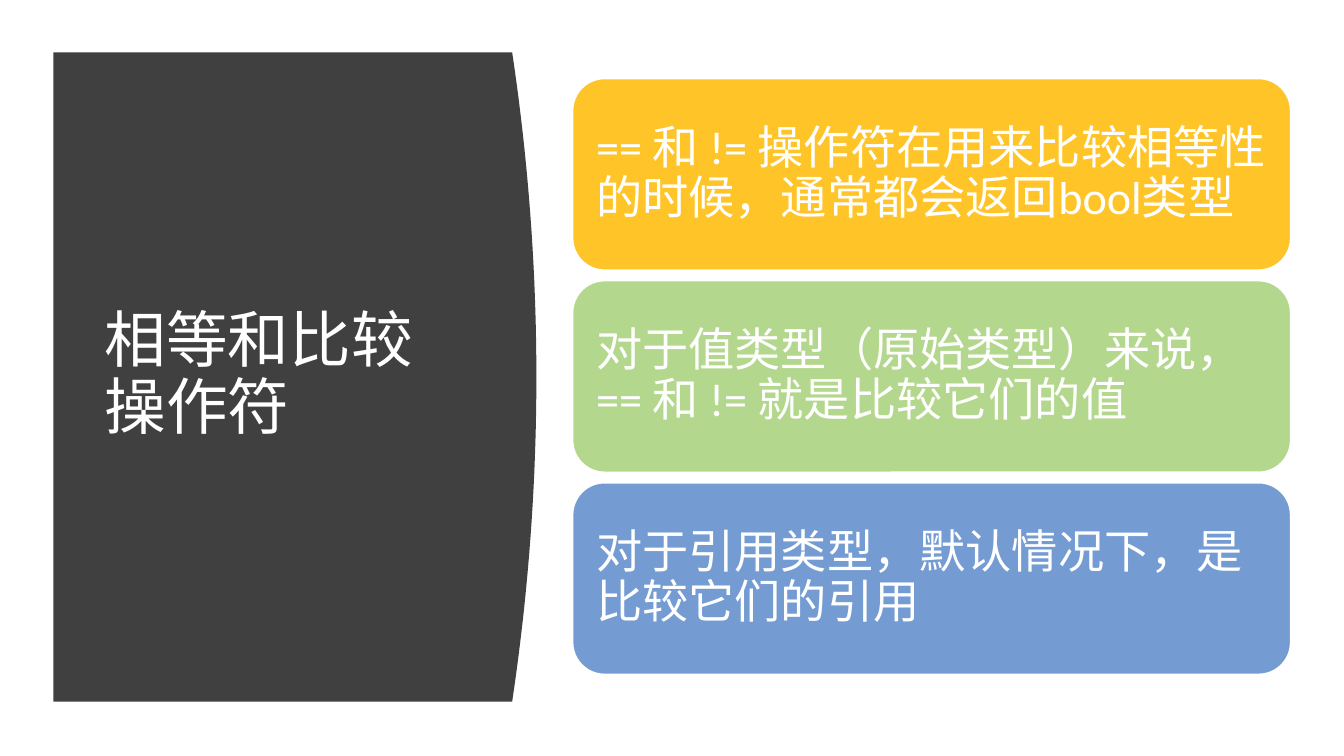
import pptx
import pptx.util
import pptx.dml.color
import pptx.enum.shapes
import pptx.enum.text

Inches = pptx.util.Inches
Pt = pptx.util.Pt
RGB = pptx.dml.color.RGBColor.from_string
MIDDLE = pptx.enum.text.MSO_ANCHOR.MIDDLE
LEFT = pptx.enum.text.PP_ALIGN.LEFT

colors = {
    "dark": "404040",
    "white": "FFFFFF",
    "gold": "FFC427",
    "green": "B4D78E",
    "blue": "749CD3",
}

deck = pptx.Presentation()
deck.slide_width = Inches(13.33)
deck.slide_height = Inches(7.5)
slide = deck.slides.add_slide(deck.slide_layouts[6])


def write(shape, text, font, size, inset):
    frame = shape.text_frame
    frame.word_wrap = True
    frame.vertical_anchor = MIDDLE
    frame.margin_left = frame.margin_right = Inches(inset)
    frame.margin_top = frame.margin_bottom = Inches(inset)
    para = frame.paragraphs[0]
    para.alignment = LEFT
    para.line_spacing = 0.9
    run = para.add_run()
    run.text = text
    run.font.name = font
    run.font.size = Pt(size)
    run.font.color.rgb = RGB(colors["white"])


left, top, bottom = 0.53, 0.52, 6.96
tip, bulge, steps = 5.32, 0.24, 40
curve = []
for step in range(steps + 1):
    turn = 2 * step / steps - 1
    y = top + (bottom - top) * step / steps
    curve.append((Inches(tip - bulge * turn ** 2), Inches(y)))
outline = slide.shapes.build_freeform(Inches(left), Inches(top))
outline.add_line_segments(curve + [(Inches(left), Inches(bottom))], close=True)
panel = outline.convert_to_shape()
panel.shadow.inherit = False
panel.fill.solid()
panel.fill.fore_color.rgb = RGB(colors["dark"])
panel.line.fill.background()

title = slide.shapes.add_textbox(Inches(0.94), Inches(1.11), Inches(3.74), Inches(5.24))
write(title, "相等和比较操作符", "TeX Gyre Adventor", 44, 0.1)

cards = [
    ("gold", "== 和 != 操作符在用来比较相等性的时候，通常都会返回bool类型"),
    ("green", "对于值类型（原始类型）来说，== 和 != 就是比较它们的值"),
    ("blue", "对于引用类型，默认情况下，是比较它们的引用"),
]
for row, (color, text) in enumerate(cards):
    card = slide.shapes.add_shape(
        pptx.enum.shapes.MSO_SHAPE.ROUNDED_RECTANGLE,
        Inches(5.68), Inches(0.78 + row * 2.0), Inches(7.12), Inches(1.9))
    card.top = Inches(0.78 + row * 2.005)
    card.shadow.inherit = False
    card.fill.solid()
    card.fill.fore_color.rgb = RGB(colors[color])
    card.line.color.rgb = RGB(colors["white"])
    card.line.width = Pt(1)
    write(card, text, "Calibri", 33, 0.14)

deck.save("out.pptx")
